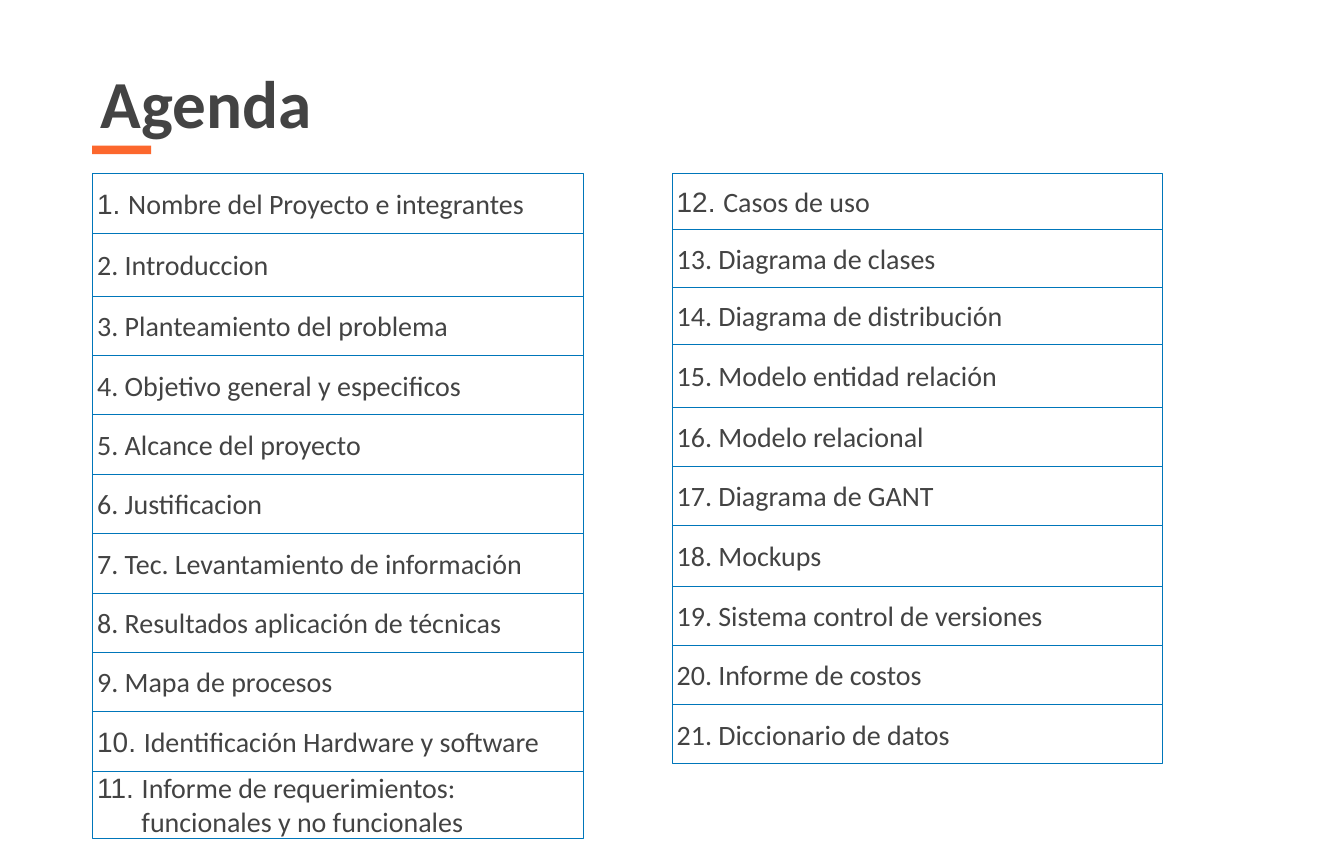
from pptx import Presentation
from pptx import util as u
from pptx.dml.color import RGBColor
from pptx.enum import shapes, text

# Content: (number, topic lines, row height in px, font of the number)
LEFT_TOPICS = [
    ("1. ", ["Nombre del Proyecto e integrantes"], 118, "Arial"),
    ("2. ", ["Introduccion"], 125, "Calibri"),
    ("3. ", ["Planteamiento del problema"], 118, "Calibri"),
    ("4. ", ["Objetivo general y especificos"], 117, "Calibri"),
    ("5. ", ["Alcance del proyecto"], 118, "Calibri"),
    ("6. ", ["Justificacion"], 118, "Calibri"),
    ("7. ", ["Tec. Levantamiento de información"], 118, "Calibri"),
    ("8. ", ["Resultados aplicación de técnicas"], 118, "Calibri"),
    ("9. ", ["Mapa de procesos"], 117, "Calibri"),
    ("10. ", ["Identificación Hardware y software"], 118, "Arial"),
    ("11. ", ["Informe de requerimientos:", "funcionales y no funcionales"], 133, "Arial"),
]
RIGHT_TOPICS = [
    ("12. ", ["Casos de uso"], 110, "Arial"),
    ("13. ", ["Diagrama de clases"], 116, "Calibri"),
    ("14. ", ["Diagrama de distribución"], 112, "Calibri"),
    ("15. ", ["Modelo entidad relación"], 125, "Calibri"),
    ("16. ", ["Modelo relacional"], 117, "Calibri"),
    ("17. ", ["Diagrama de GANT"], 117, "Calibri"),
    ("18. ", ["Mockups"], 121, "Calibri"),
    ("19. ", ["Sistema control de versiones"], 118, "Calibri"),
    ("20. ", ["Informe de costos"], 117, "Calibri"),
    ("21. ", ["Diccionario de datos"], 118, "Calibri"),
]
COLUMNS = [(183, LEFT_TOPICS), (1333, RIGHT_TOPICS)]
LIST_TOP, ROW_WIDTH, HANGING = 344, 974, 88

INK = RGBColor(0x43, 0x43, 0x43)
ORANGE = RGBColor(0xFC, 0x67, 0x2D)
BLUE = RGBColor(0x00, 0x76, 0xBA)


def px(length):
    """100 px to the inch."""
    return u.Emu(length * 9144)


def add_box(page, left, top, width, height):
    box = page.shapes.add_shape(shapes.MSO_SHAPE.RECTANGLE,
                                px(left), px(top), px(width), px(height))
    box.shadow.inherit = False
    return box


def set_font(font, size, name="Calibri"):
    font.size, font.name = u.Pt(size), name
    font.color.rgb = INK


def add_row(page, left, top, height, number, lines, number_font):
    box = add_box(page, left, top, ROW_WIDTH, height)
    box.fill.background()
    box.line.color.rgb = BLUE
    box.line.width = u.Pt(0.5)
    frame = box.text_frame
    frame.word_wrap = True
    frame.vertical_anchor = text.MSO_ANCHOR.MIDDLE
    frame.margin_top = frame.margin_bottom = 0
    for index, line in enumerate(lines):
        para = frame.add_paragraph() if index else frame.paragraphs[0]
        para.alignment = text.PP_ALIGN.LEFT
        set_font(para.font, 40)
        if index:
            # Later lines stand under the topic, not under its number
            para._p.get_or_add_pPr().set("marL", str(px(HANGING)))
        else:
            span = para.add_run()
            span.text = number
            set_font(span.font, 40, number_font)
        span = para.add_run()
        span.text = line
        set_font(span.font, 40)


def main():
    deck = Presentation()
    deck.slide_width, deck.slide_height = px(2667), px(1722)
    page = deck.slides.add_slide(deck.slide_layouts[5])

    # Title and its accent bar
    title = page.shapes.title
    title.left, title.top, title.width, title.height = map(px, (183, 160, 453, 129))
    frame = title.text_frame
    frame.text = "Agenda"
    frame.auto_size = text.MSO_AUTO_SIZE.NONE
    frame.vertical_anchor = text.MSO_ANCHOR.BOTTOM
    frame.margin_left = frame.margin_right = px(8)
    frame.margin_top = frame.margin_bottom = px(8)
    para = frame.paragraphs[0]
    para.alignment = text.PP_ALIGN.CENTER
    para.line_spacing = 0.8
    set_font(para.font, 96)
    para.font.bold = True
    bar = add_box(page, 183, 289, 117, 17)
    bar.fill.solid()
    bar.fill.fore_color.rgb = ORANGE
    bar.line.fill.background()

    # Two columns of stacked rows
    for left, topics in COLUMNS:
        top = LIST_TOP
        for number, lines, height, number_font in topics:
            add_row(page, left, top, height, number, lines, number_font)
            top += height

    deck.save("out.pptx")


if __name__ == "__main__":
    main()
